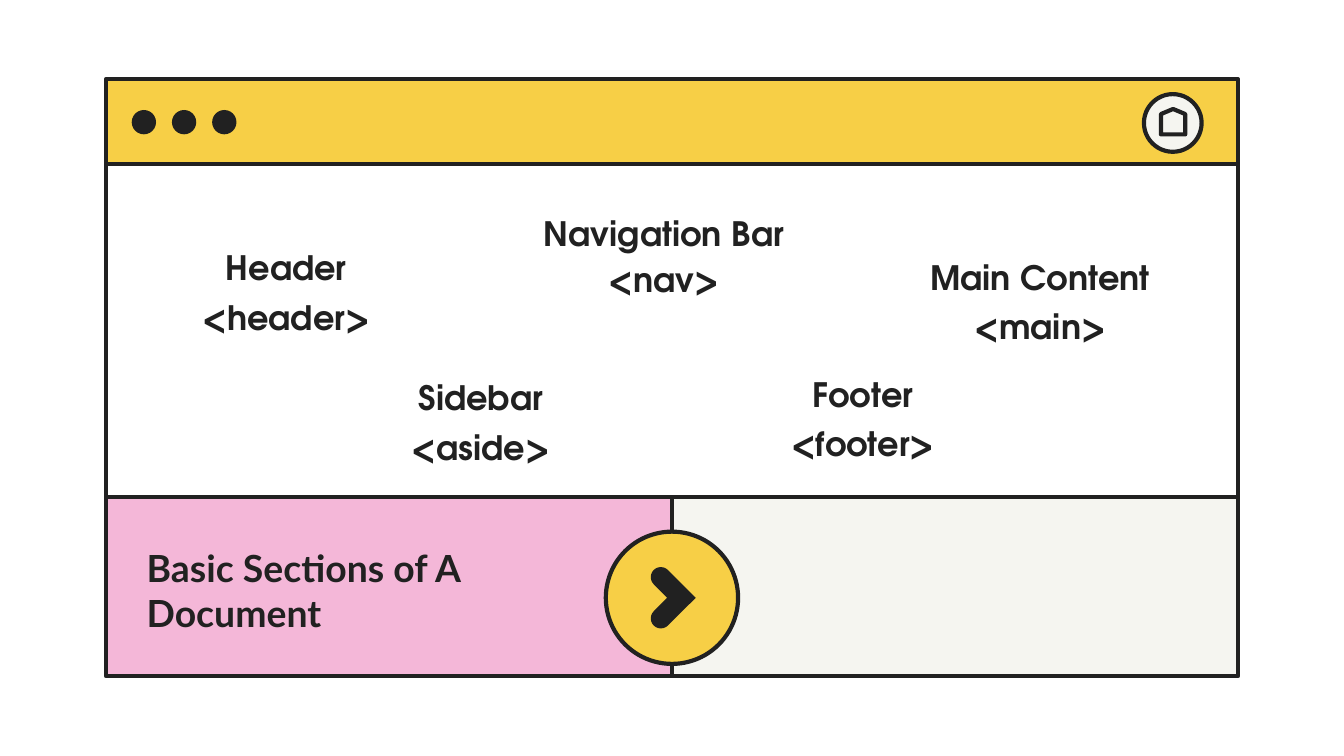
from math import cos, radians, sin

from pptx import Presentation
from pptx.dml.color import RGBColor
from pptx.enum.shapes import MSO_SHAPE
from pptx.enum.text import MSO_ANCHOR, MSO_AUTO_SIZE, PP_ALIGN
from pptx.util import Cm, Pt

INK = RGBColor(0x21, 0x21, 0x21)
WHITE = RGBColor(0xFF, 0xFF, 0xFF)
YELLOW = RGBColor(0xF7, 0xCF, 0x46)
PINK = RGBColor(0xF4, 0xB7, 0xD8)
CREAM = RGBColor(0xF5, 0xF5, 0xF0)

# Left, top (within the page area), space after, name, tag
LABELS = [
    (0.26, 1.32, 5, "Header", "<header>"),
    (7.4, 0.68, 3, "Navigation Bar", "<nav>"),
    (14.51, 1.5, 5, "Main Content", "<main>"),
    (3.94, 3.78, 5, "Sidebar", "<aside>"),
    (11.16, 3.71, 5, "Footer", "<footer>"),
]


def paint(shape, fill, edge=True):
    """Set a flat fill and, if wanted, the ink outline."""
    shape.shadow.inherit = False
    if fill is None:
        shape.fill.background()
    else:
        shape.fill.solid()
        shape.fill.fore_color.rgb = fill
    if edge:
        shape.line.color.rgb = INK
        shape.line.width = Pt(2.25)
    else:
        shape.line.fill.background()


def add_shape(slide, kind, box, fill, edge=True):
    shape = slide.shapes.add_shape(kind, *map(Cm, box))
    paint(shape, fill, edge)
    return shape


def style(para, font, size):
    para.font.name = font
    para.font.size = Pt(size)
    para.font.bold = True
    para.font.color.rgb = INK


def set_frame(frame):
    frame.word_wrap = True
    frame.auto_size = MSO_AUTO_SIZE.NONE
    frame.vertical_anchor = MSO_ANCHOR.TOP
    frame.margin_left = frame.margin_right = Cm(0.25)
    frame.margin_top = frame.margin_bottom = Cm(0.25)


def add_bar(slide, box):
    """Browser bar with three dots and a home button."""
    left, top, width, _ = box
    add_shape(slide, MSO_SHAPE.RECTANGLE, box, YELLOW)
    for i in range(3):
        dot = (left + 0.49 + i * 0.76, top + 0.58, 0.46, 0.46)
        add_shape(slide, MSO_SHAPE.OVAL, dot, INK, edge=False)
    right = left + width
    add_shape(slide, MSO_SHAPE.OVAL, (right - 1.78, top + 0.28, 1.09, 1.09), CREAM)
    home = add_shape(slide, MSO_SHAPE.FLOWCHART_OFFPAGE_CONNECTOR,
                     (right - 1.46, top + 0.56, 0.46, 0.48), None)
    home.rotation = 180


def add_page(slide, box):
    """White page area with the section names and their tags."""
    left, top, _, _ = box
    add_shape(slide, MSO_SHAPE.RECTANGLE, box, WHITE)
    for x, y, gap, *lines in LABELS:
        label = slide.shapes.add_textbox(Cm(left + x), Cm(top + y), Cm(6.3), Cm(2.2))
        frame = label.text_frame
        set_frame(frame)
        frame.text = "\n".join(lines)
        for para in frame.paragraphs:
            para.alignment = PP_ALIGN.CENTER
            para.space_after = Pt(gap)
            style(para, "TeX Gyre Adventor", 18)


def add_title(slide, box):
    title = slide.shapes.title
    title.left, title.top, title.width, title.height = map(Cm, box)
    set_frame(title.text_frame)
    title.text_frame.text = "Basic Sections of A Document"
    para = title.text_frame.paragraphs[0]
    para.alignment = PP_ALIGN.LEFT
    style(para, "Lato", 20)
    slide.shapes.element.append(title.element)  # bring in front of its panel


def add_chevron(slide, box):
    """Arrowhead with round ends, mirrored about its middle."""
    left, top, width, height = box
    cap, mid = 0.19, top + height / 2
    upper = [(left + cap + cap * cos(radians(a)), top + cap + cap * sin(radians(a)))
             for a in range(-45, -226, -15)]
    lower = [(x, 2 * mid - y) for x, y in reversed(upper)]
    points = [*upper, (left + 0.31, mid), *lower, (left + width, mid)]
    points = [(Cm(x), Cm(y)) for x, y in points]
    draft = slide.shapes.build_freeform(*points[0])
    draft.add_line_segments(points[1:], close=True)
    paint(draft.convert_to_shape(), INK, edge=False)


def add_footer(slide, box):
    """Pink title panel, cream panel and a round button between them."""
    left, top, width, height = box
    half = width / 2
    for i, fill in enumerate((PINK, CREAM)):
        add_shape(slide, MSO_SHAPE.RECTANGLE, (left + i * half, top, half, height), fill)
    add_title(slide, (left + 0.52, top + 0.66, 6.88, 1.4))
    hub, mid, size = left + half, top + 1.9, 2.5
    add_shape(slide, MSO_SHAPE.OVAL,
              (hub - size / 2, mid - size / 2, size, size), YELLOW)
    add_chevron(slide, (hub - 0.4, mid - 0.58, 0.85, 1.16))


def main():
    deck = Presentation()
    deck.slide_width, deck.slide_height = Cm(25.4), Cm(14.29)
    slide = deck.slides.add_slide(deck.slide_layouts[5])
    left, top, width = 2, 1.5, 21.4
    bar, page, foot = 1.6, 6.3, 3.38
    add_page(slide, (left, top + bar, width, page))
    add_footer(slide, (left, top + bar + page, width, foot))
    add_bar(slide, (left, top, width, bar))
    deck.save("out.pptx")


if __name__ == "__main__":
    main()
